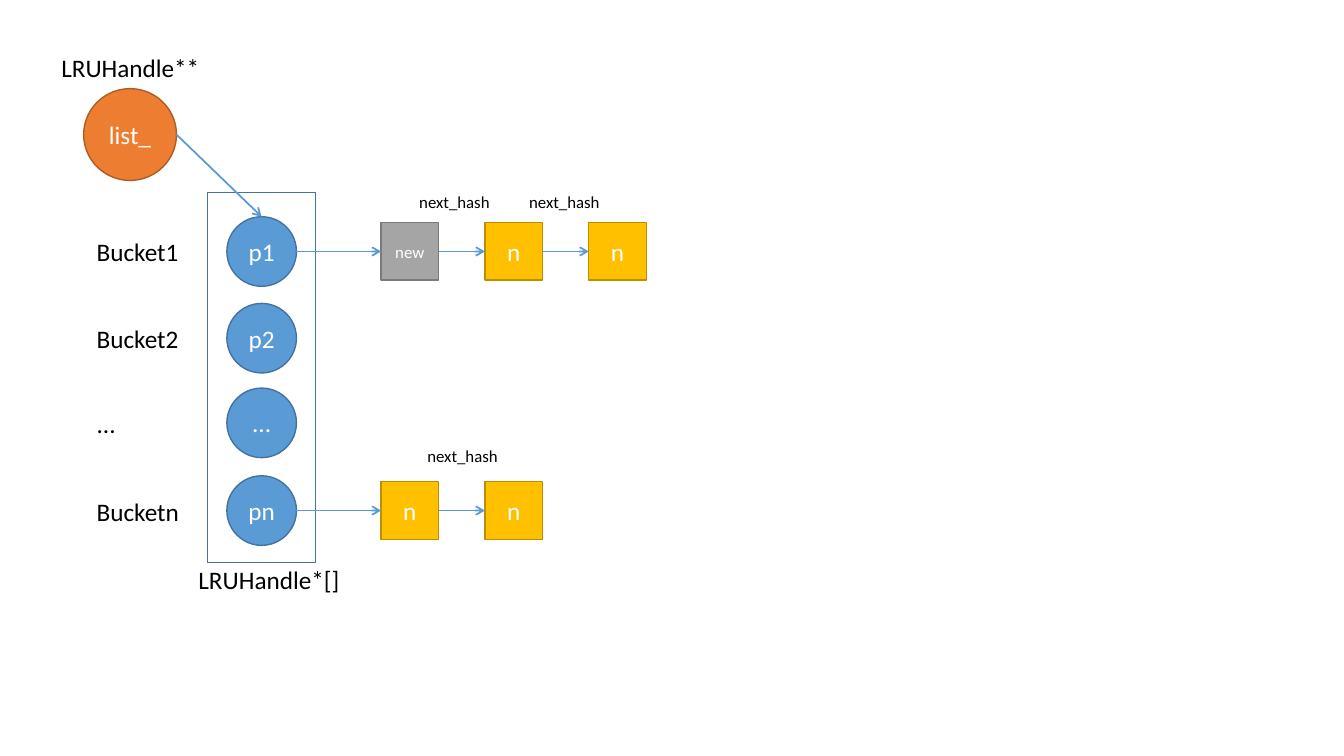
"""Build a slide showing the bucket array and chains of a hash table."""
import pptx
import pptx.dml.color
import pptx.enum.shapes
import pptx.enum.text
import pptx.oxml
import pptx.oxml.ns
import pptx.util

PX = 9144
SLIDE_SIZE = (1333, 750)
FONT = "Calibri"
COLORS = {
    "text": "000000", "inverse": "FFFFFF", "arrow": "5B9BD5",
    "pointer": "5B9BD5", "pointer_edge": "43739E",
    "list": "ED7D31", "list_edge": "AF5C24",
    "new": "A5A5A5", "new_edge": "7A7A7A",
    "node": "FFC000", "node_edge": "BD8E00",
}
BUCKETS = [
    ("Bucket1", "p1", 215, 101, ["new", "n", "n"]),
    ("Bucket2", "p2", 301, 101, []),
    ("...", "...", 385, 39, []),
    ("Bucketn", "pn", 472, 102, ["n", "n"]),
]
CAPTIONS = [
    ("LRUHandle**", (51, 47, 157, 40), 18),
    ("LRUHandle*[]", (187, 555, 160, 40), 18),
    ("next_hash", (406, 185, 90, 30), 12),
    ("next_hash", (515, 185, 90, 30), 12),
    ("next_hash", (414, 437, 90, 30), 12),
]
LIST_BOX = (83, 88, 92, 91)
ARRAY_BOX = (206, 191, 107, 367)
POINTER_LEFT, POINTER_SIZE = 225, 69
NODE_LEFT, NODE_SIZE, NODE_STEP = 378, 57, 103
LABEL_LEFT, LABEL_HEIGHT = 86, 40
OVAL = pptx.enum.shapes.MSO_SHAPE.OVAL
RECTANGLE = pptx.enum.shapes.MSO_SHAPE.RECTANGLE


def emu(box):
    return [length * PX for length in box]


def color(name):
    return pptx.dml.color.RGBColor.from_string(COLORS[name])


def write(shape, text, size, ink, frame_format, alignment):
    frame = shape.text_frame
    for name, value in frame_format.items():
        setattr(frame, name, value)
    paragraph = frame.paragraphs[0]
    paragraph.alignment = alignment
    run = paragraph.add_run()
    run.text = text
    font_format = {"name": FONT, "size": pptx.util.Pt(size)}
    for name, value in font_format.items():
        setattr(run.font, name, value)
    run.font.color.rgb = color(ink)


def add_caption(slide, text, box, size):
    shape = slide.shapes.add_textbox(*emu(box))
    frame_format = {
        "word_wrap": False,
        "auto_size": pptx.enum.text.MSO_AUTO_SIZE.SHAPE_TO_FIT_TEXT,
    }
    write(shape, text, size, "text", frame_format, pptx.enum.text.PP_ALIGN.LEFT)


def add_outline(slide, kind, box, edge):
    shape = slide.shapes.add_shape(kind, *emu(box))
    shape.shadow.inherit = False
    shape.fill.background()
    shape.line.color.rgb = color(edge)
    shape.line.width = pptx.util.Pt(1)
    return shape


def add_cell(slide, kind, box, text, style, size=18):
    shape = add_outline(slide, kind, box, style + "_edge")
    shape.fill.solid()
    shape.fill.fore_color.rgb = color(style)
    frame_format = {
        "word_wrap": False,
        "vertical_anchor": pptx.enum.text.MSO_ANCHOR.MIDDLE,
    }
    write(shape, text, size, "inverse", frame_format, pptx.enum.text.PP_ALIGN.CENTER)
    return shape


def left_middle(shape):
    return shape.left, shape.top + shape.height // 2


def right_middle(shape):
    return shape.left + shape.width, shape.top + shape.height // 2


def top_middle(shape):
    return shape.left + shape.width // 2, shape.top


def add_arrow(slide, start, end):
    straight = pptx.enum.shapes.MSO_CONNECTOR.STRAIGHT
    arrow = slide.shapes.add_connector(straight, *start, *end)
    arrow.line.color.rgb = color("arrow")
    arrow.line.width = pptx.util.Pt(1.25)
    namespace = pptx.oxml.ns.nsdecls("a")
    properties = arrow._element.spPr
    line = properties.find(pptx.oxml.ns.qn("a:ln"))
    line.append(pptx.oxml.parse_xml(f'<a:tailEnd {namespace} type="arrow"/>'))
    properties.append(pptx.oxml.parse_xml(f"<a:effectLst {namespace}/>"))


def add_bucket(slide, label, pointer_text, top, label_width, nodes):
    pointer_box = (POINTER_LEFT, top, POINTER_SIZE, POINTER_SIZE)
    pointer = add_cell(slide, OVAL, pointer_box, pointer_text, "pointer")
    label_box = (LABEL_LEFT, top + 15, label_width, LABEL_HEIGHT)
    add_caption(slide, label, label_box, 18)
    previous = pointer
    for index, text in enumerate(nodes):
        left = NODE_LEFT + index * NODE_STEP
        node_top = top + (POINTER_SIZE - NODE_SIZE) // 2
        style, size = ("new", 12) if text == "new" else ("node", 18)
        node_box = (left, node_top, NODE_SIZE, NODE_SIZE)
        node = add_cell(slide, RECTANGLE, node_box, text, style, size)
        add_arrow(slide, right_middle(previous), left_middle(node))
        previous = node
    return pointer


def main():
    presentation = pptx.Presentation()
    presentation.slide_width, presentation.slide_height = emu(SLIDE_SIZE)
    slide = presentation.slides.add_slide(presentation.slide_layouts[6])
    add_outline(slide, RECTANGLE, ARRAY_BOX, "pointer_edge")
    pointers = [add_bucket(slide, *bucket) for bucket in BUCKETS]
    list_head = add_cell(slide, OVAL, LIST_BOX, "list_", "list")
    for caption in CAPTIONS:
        add_caption(slide, *caption)
    add_arrow(slide, right_middle(list_head), top_middle(pointers[0]))
    presentation.save("out.pptx")


if __name__ == "__main__":
    main()
